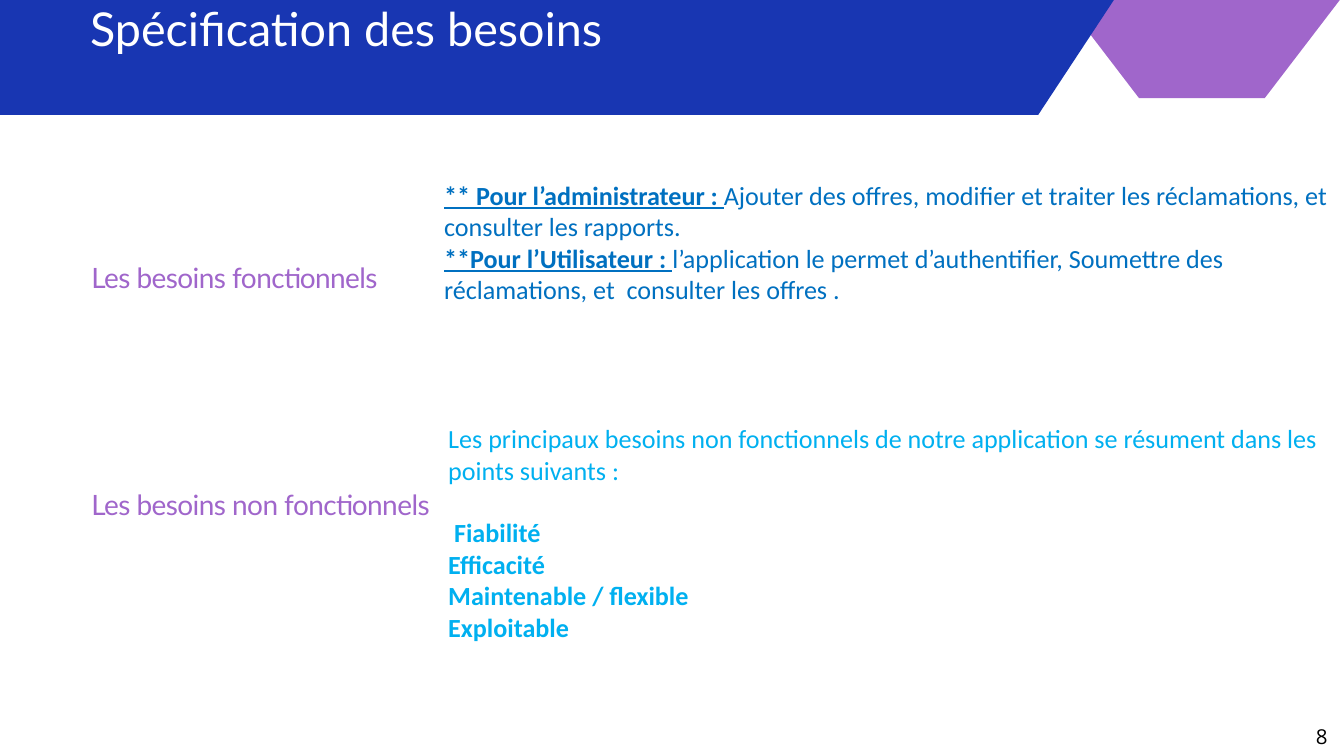
from pptx import Presentation
from pptx.dml.color import RGBColor
from pptx.enum.text import PP_ALIGN
from pptx.util import Emu, Pt

PX = 9144  # EMU per px, 100 px to the inch
BLANK_LAYOUT = 6
LEFT, CENTER = PP_ALIGN.LEFT, PP_ALIGN.CENTER

WHITE = RGBColor(0xFF, 0xFF, 0xFF)
BLACK = RGBColor(0x00, 0x00, 0x00)
PURPLE = RGBColor(0xA0, 0x66, 0xCB)
NAVY = RGBColor(0x18, 0x36, 0xB2)
BLUE = RGBColor(0x00, 0x70, 0xC0)
CYAN = RGBColor(0x00, 0xB0, 0xF0)

HEADING_FONT, BODY_FONT, NUMBER_FONT = "Lato", "Calibri", "Open Sans"
BODY_SIZE = 28
HEXAGON_INSET = 166


class SlideBuilder:
    def __init__(self, slide):
        self.slide = slide

    def hexagon(self, left, top, width, height, color):
        right, bottom, middle = left + width, top + height, top + height // 2
        inner_left, inner_right = left + HEXAGON_INSET, right - HEXAGON_INSET
        outline = self.slide.shapes.build_freeform(inner_left, top, scale=PX)
        outline.add_line_segments([
            (inner_right, top), (right, middle), (inner_right, bottom),
            (inner_left, bottom), (left, middle),
        ], close=True)
        shape = outline.convert_to_shape()
        shape.shadow.inherit = False
        shape.fill.solid()
        shape.fill.fore_color.rgb = color
        shape.line.fill.background()

    def frame(self, left, top, width, height):
        """Add a wrapping text box without margins and return its text frame."""
        box = self.slide.shapes.add_textbox(
            *(Emu(length * PX) for length in (left, top, width, height)))
        frame = box.text_frame
        frame.word_wrap = True
        frame.margin_left = frame.margin_right = 0
        frame.margin_top = frame.margin_bottom = 0
        return frame

    def style(self, run, font, size, color, bold=False, underline=False):
        run.font.name = font
        run.font.size = Pt(size)
        run.font.color.rgb = color
        run.font.bold = bold
        run.font.underline = underline

    def line(self, bounds, text, font, size, color, leading, align=LEFT, tracking=0):
        """Add one line of text; tracking is in hundredths of a point."""
        frame = self.frame(*bounds)
        frame.text = text
        paragraph = frame.paragraphs[0]
        paragraph.alignment = align
        paragraph.line_spacing = Pt(leading)
        run = paragraph.runs[0]
        self.style(run, font, size, color)
        if tracking:
            run.font._element.set("spc", str(tracking))

    def section_label(self, top, width, text):
        self.line((136, top, width, 54), text, HEADING_FONT, 30, PURPLE, 39, tracking=-60)

    def role_needs(self, bounds, roles):
        """List each role, bold and underlined, followed by its needs."""
        frame = self.frame(*bounds)
        frame.text = "\n".join(role for role, _ in roles)
        for paragraph, (_, needs) in zip(frame.paragraphs, roles):
            self.style(paragraph.runs[0], BODY_FONT, BODY_SIZE, BLUE, True, True)
            needs_run = paragraph.add_run()
            needs_run.text = needs
            self.style(needs_run, BODY_FONT, BODY_SIZE, BLUE)

    def qualities(self, bounds, intro, names):
        """Write an introduction and, one line below it, the bold qualities."""
        frame = self.frame(*bounds)
        frame.text = "\n".join([intro, *names])
        for index, paragraph in enumerate(frame.paragraphs):
            self.style(paragraph.runs[0], BODY_FONT, BODY_SIZE, CYAN, bold=index > 0)
        frame.paragraphs[1].space_before = Pt(BODY_SIZE * 1.2)


def main():
    presentation = Presentation()
    presentation.slide_width = Emu(2000 * PX)
    presentation.slide_height = Emu(1125 * PX)
    layout = presentation.slide_layouts[BLANK_LAYOUT]
    builder = SlideBuilder(presentation.slides.add_slide(layout))

    builder.hexagon(1529, -288, 519, 434, PURPLE)
    builder.hexagon(-225, -332, 1936, 503, NAVY)
    builder.line((134, -14, 1081, 93), "Spécification des besoins",
                 HEADING_FONT, 50, WHITE, 70)

    builder.section_label(383, 479, "Les besoins fonctionnels")
    builder.section_label(721, 575, "Les besoins non fonctionnels")

    builder.role_needs((661, 267, 1326, 236), [
        ("** Pour l’administrateur : ",
         "Ajouter des offres, modifier et traiter les réclamations, "
         "et consulter les rapports."),
        ("**Pour l’Utilisateur : ",
         "l’application le permet d’authentifier, Soumettre des réclamations, "
         "et  consulter les offres ."),
    ])
    builder.qualities(
        (667, 629, 1313, 330),
        "Les principaux besoins non fonctionnels de notre application "
        "se résument dans les points suivants :",
        [" Fiabilité", "Efficacité", "Maintenable / flexible", "Exploitable"])

    builder.line((1947, 1071, 40, 41), "8", NUMBER_FONT, 22, BLACK, 30.8, CENTER)
    presentation.save("out.pptx")


if __name__ == "__main__":
    main()
